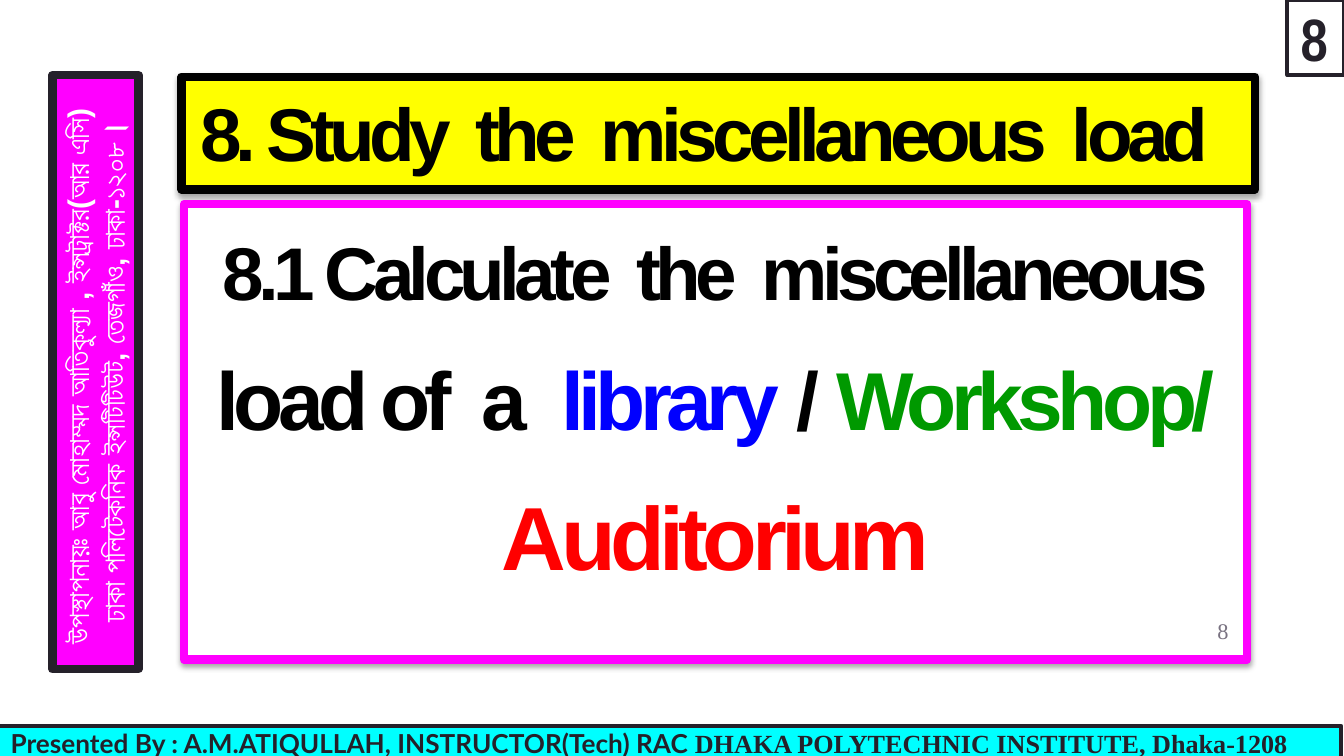
from lxml.etree import SubElement
from pptx import Presentation
from pptx.dml.color import RGBColor
from pptx.enum.shapes import MSO_SHAPE as Shape
from pptx.enum.text import MSO_ANCHOR as Anchor, MSO_AUTO_SIZE as AutoSize, PP_ALIGN as Align
from pptx.oxml.ns import qn
from pptx.util import Cm, Pt

COLORS = {
    "black": "000000", "white": "FFFFFF", "dark": "25212A", "gray": "797281",
    "yellow": "FFFF00", "magenta": "FF00FF", "cyan": "00FFFF",
    "blue": "0000FF", "green": "009900", "red": "FF0000",
}


def add_text(para, text, size, color, font="Arial", bold=True, spacing=0):
    span = para.add_run()
    span.text = text
    span.font.name = font
    span.font.size = Pt(size)
    span.font.bold = bold
    span.font.color.rgb = RGBColor.from_string(COLORS[color])
    if spacing:
        span.font._element.set("spc", str(spacing * 100))


def style_box(box, fill, line, width, anchor, inset=0.25, rounded=False, shadow=False):
    box.fill.solid()
    box.fill.fore_color.rgb = RGBColor.from_string(COLORS[fill])
    box.line.color.rgb = RGBColor.from_string(COLORS[line])
    box.line.width = Pt(width)
    if rounded:
        SubElement(box.line._get_or_add_ln(), qn("a:round"))
    box.shadow.inherit = False
    if shadow:
        effects = box._element.spPr.find(qn("a:effectLst"))
        outer = SubElement(effects, qn("a:outerShdw"), blurRad=str(Pt(3.1)),
                           dist=str(Pt(1.8)), dir="5400000", rotWithShape="0")
        tint = SubElement(outer, qn("a:srgbClr"), val=COLORS["black"])
        SubElement(tint, qn("a:alpha"), val="35000")
    frame = box.text_frame
    frame.word_wrap = True
    frame.auto_size = AutoSize.NONE
    frame.vertical_anchor = anchor
    frame.margin_left = frame.margin_right = Cm(0.25)
    frame.margin_top = frame.margin_bottom = Cm(inset)


deck = Presentation()
deck.slide_width, deck.slide_height = Cm(25.4), Cm(14.29)
page = deck.slides.add_slide(deck.slide_layouts[0])

title = page.shapes.title
title.left, title.top, title.width, title.height = Cm(3.43), Cm(1.45), Cm(20.29), Cm(2.13)
style_box(title, "yellow", "black", 4.5, Anchor.BOTTOM, rounded=True, shadow=True)
para = title.text_frame.paragraphs[0]
para.alignment = Align.LEFT
props = para._p.get_or_add_pPr()
props.set("marL", str(Cm(1.27)))
props.set("indent", str(Cm(-1.17)))
add_text(para, "8. Study  the  miscellaneous  load", 40, "black", spacing=-3)

body = page.placeholders[1]
body.left, body.top, body.width, body.height = Cm(3.48), Cm(3.86), Cm(20.09), Cm(8.61)
style_box(body, "white", "magenta", 4.5, Anchor.TOP, rounded=True, shadow=True)
body.text_frame.margin_top = Cm(0.4)
topic_lines = [
    (40, [("8.1 Calculate  the  miscellaneous", "black")]),
    (44, [("load of  a  ", "black"), ("library", "blue"), (" / ", "black"), ("Workshop/", "green")]),
    (48, [("Auditorium", "red")]),
]
for index, (size, spans) in enumerate(topic_lines):
    para = body.text_frame.add_paragraph() if index else body.text_frame.paragraphs[0]
    para.alignment = Align.CENTER
    para.space_before = Pt(18 if index else 0)
    for text, color in spans:
        add_text(para, text, size, color, spacing=-3)

number = page.shapes.add_textbox(Cm(21.95), Cm(11.38), Cm(1.52), Cm(1.09))
number.text_frame.word_wrap = True
number.text_frame.vertical_anchor = Anchor.MIDDLE
para = number.text_frame.paragraphs[0]
para.alignment = Align.RIGHT
add_text(para, "8", 12, "gray", font="Times New Roman", bold=False)

side = page.shapes.add_shape(Shape.RECTANGLE, Cm(-3.81), Cm(6.22), Cm(11.23), Cm(1.63))
side.rotation = 270
style_box(side, "magenta", "dark", 4.5, Anchor.TOP, inset=0.13, rounded=True)
presenter_lines = [
    "উপস্থাপনায়ঃ আবু মোহাম্মদ আতিকুল্যা , ইন্সট্রাক্টর(আর এসি) ",
    "ঢাকা পলিটেকনিক ইন্সটিটিউট, তেজগাঁও, ঢাকা-১২০৮।",
]
for index, text in enumerate(presenter_lines):
    para = side.text_frame.add_paragraph() if index else side.text_frame.paragraphs[0]
    para.alignment = Align.CENTER
    add_text(para, text, 16, "white")

footer = page.shapes.add_shape(Shape.RECTANGLE, Cm(-0.05), Cm(13.72), Cm(25.4), Cm(0.64))
style_box(footer, "cyan", "dark", 2, Anchor.MIDDLE, inset=0.13)
para = footer.text_frame.paragraphs[0]
para.alignment = Align.LEFT
add_text(para, "Presented By : A.M.ATIQULLAH, INSTRUCTOR(Tech) RAC ", 14, "dark", font="Lato")
add_text(para, "DHAKA POLYTECHNIC INSTITUTE, Dhaka-1208", 14, "dark", font="Times New Roman")

corner = page.shapes.add_shape(Shape.RECTANGLE, Cm(24.33), Cm(0), Cm(1.07), Cm(1.42))
style_box(corner, "white", "dark", 2, Anchor.MIDDLE)
para = corner.text_frame.paragraphs[0]
para.alignment = Align.LEFT
add_text(para, "8", 32, "dark", font="Arial Narrow", spacing=-3)

deck.save("out.pptx")
